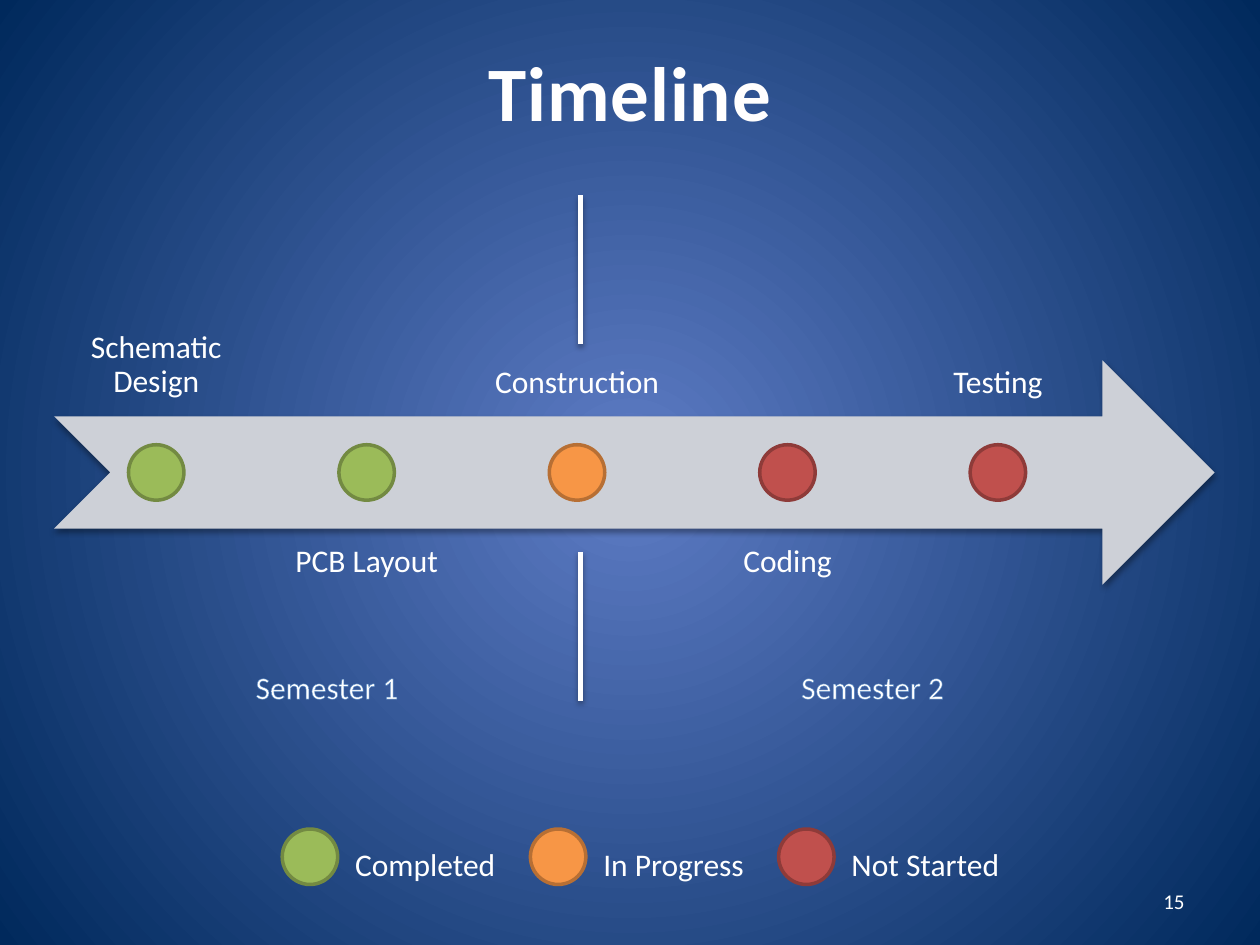
from lxml import etree
from pptx import Presentation
from pptx.dml.color import RGBColor
from pptx.enum.shapes import MSO_CONNECTOR, MSO_SHAPE
from pptx.enum.text import MSO_ANCHOR, MSO_AUTO_SIZE, PP_ALIGN
from pptx.oxml import parse_xml
from pptx.oxml.ns import nsdecls, qn
from pptx.util import Inches, Pt

LEFT, CENTER, RIGHT = PP_ALIGN.LEFT, PP_ALIGN.CENTER, PP_ALIGN.RIGHT
TOP, MIDDLE, BOTTOM = MSO_ANCHOR.TOP, MSO_ANCHOR.MIDDLE, MSO_ANCHOR.BOTTOM

WHITE = RGBColor(0xFF, 0xFF, 0xFF)
TITLE_WHITE = RGBColor(0xFF, 0xFE, 0xFE)
ORANGE_EDGE = RGBColor(0xE7, 0x87, 0x38)
BLUE_EDGE = RGBColor(0x4F, 0x81, 0xBD)
ARROW_GRAY = RGBColor(0xCD, 0xD0, 0xD7)
BACKGROUND = (RGBColor(0x5E, 0x7C, 0xC5), RGBColor(0x00, 0x29, 0x5C))
STATUS_COLORS = {
    "Completed": (RGBColor(0x9B, 0xBB, 0x59), RGBColor(0x73, 0x8A, 0x42)),
    "In Progress": (RGBColor(0xF7, 0x96, 0x46), RGBColor(0xB7, 0x6F, 0x34)),
    "Not Started": (RGBColor(0xC0, 0x50, 0x4D), RGBColor(0x8E, 0x3B, 0x39)),
}

TITLE = "Timeline"
PAGE = "15"
STEPS = [
    ("Schematic Design", "Completed"),
    ("PCB Layout", "Completed"),
    ("Construction", "In Progress"),
    ("Coding", "Not Started"),
    ("Testing", "Not Started"),
]
SEMESTERS = [("Semester 1", 1.93), ("Semester 2", 6.26)]
LEGEND = [("Completed", 1.33), ("In Progress", 1.33), ("Not Started", 1.4)]

FONT = "Calibri"
DOT = 0.44
AXIS_Y = 3.75
STEP_X, STEP_PITCH = 1.24, 1.67
LABEL_W, LABEL_H, LABEL_INSET = 1.59, 1.78, 0.14
LABEL_TOPS = (1.53, 4.19)
DIVIDER_X, DIVIDER_H = 4.61, 1.18
DIVIDER_TOPS = (1.55, 4.38)
LEGEND_X, LEGEND_Y, LEGEND_PITCH = 2.24, 6.58, 1.97


def style_text(sp, text, size=18, color=WHITE, align=LEFT, anchor=TOP):
    tf = sp.text_frame
    tf.text = text
    tf.vertical_anchor = anchor
    p = tf.paragraphs[0]
    p.alignment = align
    r = p.runs[0]
    r.font.name = FONT
    r.font.size = Pt(size)
    r.font.color.rgb = color
    return r


def outline(r, color, width):
    ln = parse_xml(
        f'<a:ln {nsdecls("a")} w="{Pt(width)}"><a:solidFill>'
        f'<a:srgbClr val="{color}"/></a:solidFill></a:ln>')
    r.font._element.insert(0, ln)


def add_text(s, x, y, w, h, text, wrap=True, **style):
    sp = s.shapes.add_textbox(Inches(x), Inches(y), Inches(w), Inches(h))
    r = style_text(sp, text, **style)
    tf = sp.text_frame
    tf.word_wrap = wrap
    if not wrap:
        tf.auto_size = MSO_AUTO_SIZE.SHAPE_TO_FIT_TEXT
    return sp, r


def add_shadow(sp):
    sp._element.spPr.append(parse_xml(
        f'<a:effectLst {nsdecls("a")}><a:outerShdw blurRad="{Pt(3.1)}" '
        f'dist="{Pt(1.8)}" dir="5400000" rotWithShape="0">'
        '<a:srgbClr val="000000"><a:alpha val="35000"/></a:srgbClr>'
        '</a:outerShdw></a:effectLst>'))


def add_dot(s, x, y, status):
    sp = s.shapes.add_shape(MSO_SHAPE.OVAL, Inches(x), Inches(y), Inches(DOT), Inches(DOT))
    sp.shadow.inherit = False
    fill, edge = STATUS_COLORS[status]
    sp.fill.solid()
    sp.fill.fore_color.rgb = fill
    sp.line.color.rgb = edge
    sp.line.width = Pt(2)


def set_background(s):
    fill = s.background.fill
    fill.gradient()
    for stop, color in zip(fill.gradient_stops, BACKGROUND):
        stop.color.rgb = color
    grad = s.element.find(".//" + qn("a:gradFill"))
    grad.remove(grad.find(qn("a:lin")))
    path = etree.SubElement(grad, qn("a:path"), {"path": "circle"})
    etree.SubElement(path, qn("a:fillToRect"), dict.fromkeys("ltrb", "50000"))


def add_title(s):
    sp = s.shapes.title
    sp.left, sp.top, sp.width, sp.height = (Inches(v) for v in (0.5, 0.3, 9, 1.25))
    r = style_text(sp, TITLE, size=44, color=TITLE_WHITE, align=CENTER)
    r.font.bold = True
    r.font._element.set("spc", "50")
    outline(r, ORANGE_EDGE, 1)


def add_timeline(s):
    sp = s.shapes.add_shape(MSO_SHAPE.NOTCHED_RIGHT_ARROW, Inches(0.43),
                            Inches(AXIS_Y - LABEL_H / 2), Inches(9.21), Inches(LABEL_H))
    sp.fill.solid()
    sp.fill.fore_color.rgb = ARROW_GRAY
    sp.line.fill.background()
    add_shadow(sp)
    for i, (name, status) in enumerate(STEPS):
        x = STEP_X + i * STEP_PITCH
        below = i % 2
        label, _ = add_text(s, x - LABEL_W / 2, LABEL_TOPS[below], LABEL_W, LABEL_H, name,
                            align=CENTER, anchor=TOP if below else BOTTOM)
        tf = label.text_frame
        tf.margin_left = tf.margin_right = Inches(LABEL_INSET)
        tf.margin_top = tf.margin_bottom = Inches(LABEL_INSET)
        tf.paragraphs[0].line_spacing = 0.9
        add_dot(s, x - DOT / 2, AXIS_Y - DOT / 2, status)


def add_semesters(s):
    for y in DIVIDER_TOPS:
        line = s.shapes.add_connector(MSO_CONNECTOR.STRAIGHT, Inches(DIVIDER_X), Inches(y),
                                      Inches(DIVIDER_X), Inches(y + DIVIDER_H))
        line.line.color.rgb = WHITE
        line.line.width = Pt(3)
        add_shadow(line)
    for name, x in SEMESTERS:
        _, r = add_text(s, x, 5.25, 1.35, 0.4, name, wrap=False)
        outline(r, BLUE_EDGE, 0.8)


def add_legend(s):
    for i, (status, width) in enumerate(LEGEND):
        x = LEGEND_X + i * LEGEND_PITCH
        add_dot(s, x, LEGEND_Y, status)
        add_text(s, x + DOT + 0.04, LEGEND_Y + 0.08, width, 0.4, status, wrap=False)


def main():
    prs = Presentation()
    prs.slide_width, prs.slide_height = Inches(10), Inches(7.5)
    s = prs.slides.add_slide(prs.slide_layouts[5])
    set_background(s)
    add_text(s, 7.17, 6.95, 2.33, 0.4, PAGE, size=12, align=RIGHT, anchor=MIDDLE)
    add_timeline(s)
    add_title(s)
    add_semesters(s)
    add_legend(s)
    prs.save("out.pptx")


if __name__ == "__main__":
    main()
